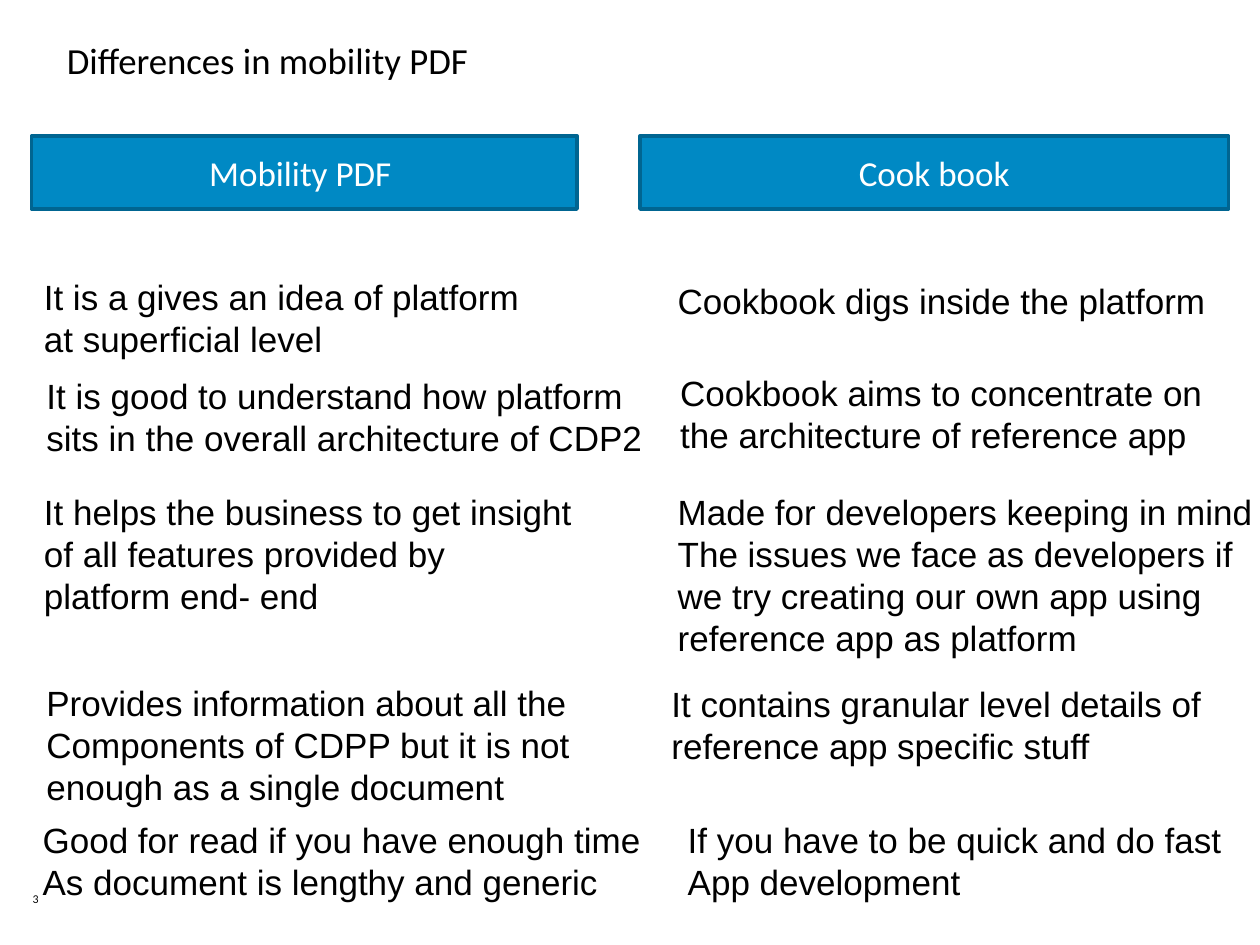
from pptx import Presentation
from pptx import util as u
from pptx.dml.color import RGBColor
from pptx.enum import shapes, text

HEX = {"ink": "000000", "bar": "0089C4", "edge": "006591", "pale": "FFFFFF"}
WIDE, HIGH = 10, 7.5
LEFT, RIGHT = 0.25, 5.28  # text columns


def tint(name):
    return RGBColor.from_string(HEX[name])


def write(shape, lines, size, face, ink="ink", align=text.PP_ALIGN.LEFT, **frame):
    box = shape.text_frame
    for key, val in frame.items():
        setattr(box, key, val)
    box.text = "\n".join(lines)
    for para in box.paragraphs:
        para.alignment = align
        look = {"size": u.Pt(size), "name": face, "bold": False}
        for key, val in look.items():
            setattr(para.font, key, val)
        para.font.color.rgb = tint(ink)


deck = Presentation()
deck.slide_width, deck.slide_height = u.Inches(WIDE), u.Inches(HIGH)
slide = deck.slides.add_slide(deck.slide_layouts[5])

# Title
title = slide.shapes.title
spot = {"left": 0.43, "top": 0.25, "width": 9.14, "height": 0.92}
for key, val in spot.items():
    setattr(title, key, u.Inches(val))
write(title, ["Differences in mobility PDF"], 21, "Calibri",
      vertical_anchor=text.MSO_ANCHOR.TOP, auto_size=text.MSO_AUTO_SIZE.NONE)

# Column headings
for left, wide, label in [(LEFT, 4.33, "Mobility PDF "), (5.08, 4.67, "Cook book")]:
    bar = slide.shapes.add_shape(shapes.MSO_SHAPE.RECTANGLE, u.Inches(left),
                                 u.Inches(1.08), u.Inches(wide), u.Inches(0.58))
    bar.shadow.inherit = False
    bar.fill.solid()
    bar.fill.fore_color.rgb = tint("bar")
    bar.line.color.rgb = tint("edge")
    bar.line.width = u.Pt(2)
    write(bar, [label], 20, "Calibri", "pale", text.PP_ALIGN.CENTER,
          vertical_anchor=text.MSO_ANCHOR.MIDDLE)

# Points: shift from column, top, width, wrap, lines
points = {
    LEFT: [
        (0, 2.14, 4.17, False, ["It is a gives an idea of platform ",
                                "at superficial level"]),
        (0.02, 2.92, 5.05, False, ["It is good to understand how platform ",
                                   "sits in the overall architecture of CDP2"]),
        (0, 3.84, 4.45, True, ["It helps the business to get insight",
                               "of all features provided by platform end- end "]),
        (0.02, 5.36, 4.46, False, ["Provides information about all the ",
                                   "Components of CDPP but it is not ",
                                   "enough as a single document "]),
        (-0.01, 6.45, 5.06, False, ["Good for read if you have enough time ",
                                    "As document is lengthy and generic"]),
    ],
    RIGHT: [
        (0, 2.17, 4.5, False, ["Cookbook digs inside the platform"]),
        (0.02, 2.9, 4.45, False, ["Cookbook aims to concentrate on ",
                                  "the architecture of reference app"]),
        (0, 3.84, 4.88, False, ["Made for developers keeping in mind ",
                                "The issues we face as developers if ",
                                "we try creating our own app using ",
                                "reference app as platform"]),
        (-0.05, 5.37, 4.52, False, ["It contains granular level details of ",
                                    "reference app specific stuff"]),
        (0.08, 6.45, 4.54, False, ["If you have to be quick and do fast ",
                                   "App development"]),
    ],
}
for col, items in points.items():
    for shift, top, wide, wrap, lines in items:
        rows = len(lines) + wrap  # a wrapped point takes one more row
        note = slide.shapes.add_textbox(u.Inches(col + shift), u.Inches(top),
                                        u.Inches(wide), u.Inches(0.1 + rows / 3))
        write(note, lines, 20, "Arial", word_wrap=wrap,
              auto_size=text.MSO_AUTO_SIZE.SHAPE_TO_FIT_TEXT)

# Page number
page = slide.shapes.add_textbox(u.Inches(0.26), u.Inches(7.08),
                                u.Inches(0.56), u.Inches(0.2))
write(page, ["3"], 6.8, "Calibri", word_wrap=True, margin_left=0,
      margin_right=0, margin_top=0, margin_bottom=0)

deck.save("out.pptx")
